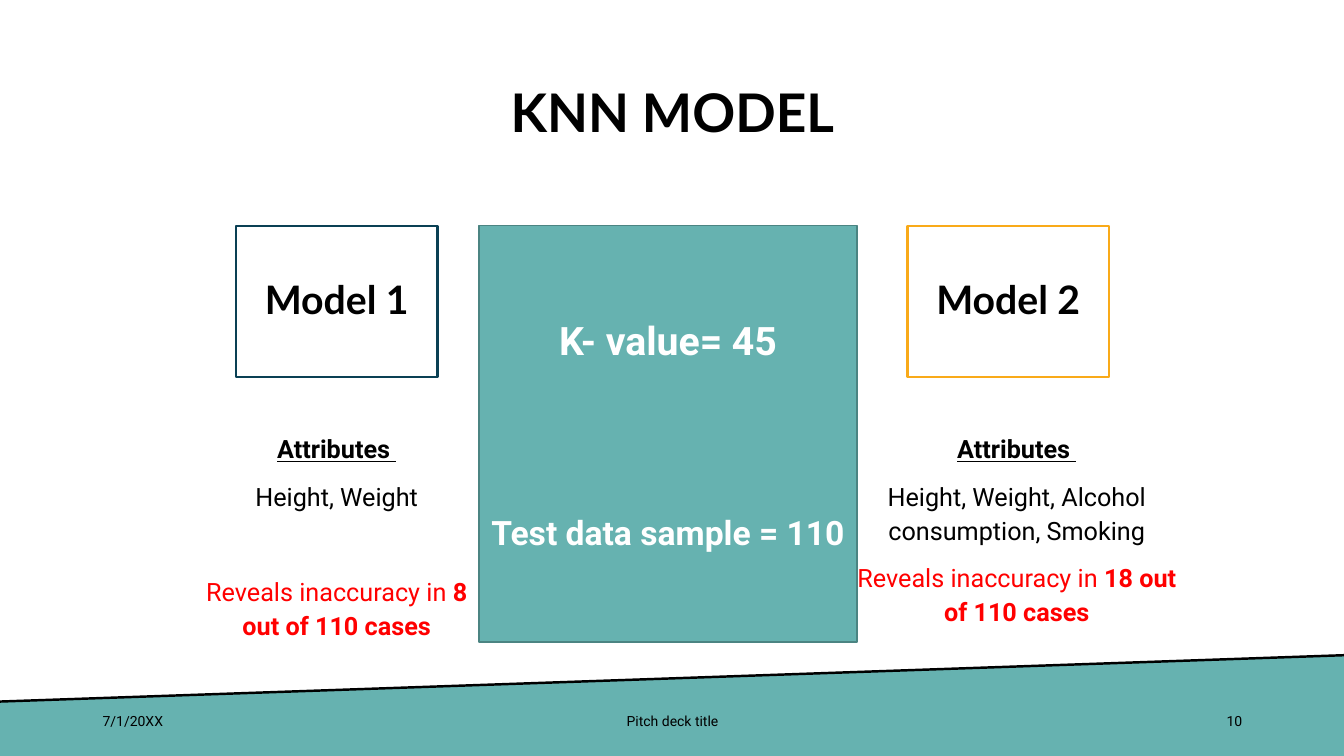
from dataclasses import dataclass

from lxml.etree import SubElement
from pptx import Presentation
from pptx.dml.color import RGBColor
from pptx.enum.shapes import MSO_CONNECTOR as Connector, MSO_SHAPE as Shape
from pptx.enum.text import MSO_ANCHOR as Anchor, PP_ALIGN as Align
from pptx.oxml.ns import qn
from pptx.util import Inches, Pt


@dataclass(frozen=True)
class Theme:
    heading: str = "Lato"
    body: str = "Roboto"
    black: str = "000000"
    white: str = "FFFFFF"
    red: str = "FF0000"
    teal: str = "66B2B0"
    teal_edge: str = "4B8482"
    navy: str = "0A4054"
    amber: str = "F9AA19"
    title_size: int = 38
    label_size: int = 28
    sample_size: int = 24
    body_size: int = 18
    footer_size: int = 10
    outline: float = 1.75


THEME = Theme()


def rgb(value):
    return RGBColor.from_string(value)


def style_run(run, size, color, font=THEME.body, bold=False, underline=False):
    run.font.name = font
    run.font.size = Pt(size)
    run.font.color.rgb = rgb(color)
    run.font.bold = bold
    run.font.underline = underline


def add_text(page, box, anchor=Anchor.TOP):
    frame = page.shapes.add_textbox(*map(Inches, box)).text_frame
    frame.word_wrap = True
    frame.vertical_anchor = anchor
    return frame


def add_line_of_text(page, box, text, size, align, font=THEME.body, bold=False):
    frame = add_text(page, box, Anchor.MIDDLE)
    frame.text = text
    para = frame.paragraphs[0]
    para.alignment = align
    style_run(para.runs[0], size, THEME.black, font, bold)


def add_panel(page, box, edge, width, fill=None):
    panel = page.shapes.add_shape(Shape.RECTANGLE, *map(Inches, box))
    panel.shadow.inherit = False
    if fill:
        panel.fill.solid()
        panel.fill.fore_color.rgb = rgb(fill)
    else:
        panel.fill.background()
    panel.line.color.rgb = rgb(edge)
    panel.line.width = Pt(width)
    frame = panel.text_frame
    frame.word_wrap = True
    frame.vertical_anchor = Anchor.MIDDLE
    return frame


def add_footer(page, box, texts):
    left, top, width, height = box
    slope = 0.46
    right, bottom = left + width, top + height

    # Slanted band with its upper edge
    corners = [(right, top), (right, bottom), (left, bottom)]
    builder = page.shapes.build_freeform(Inches(left), Inches(top + slope))
    builder.add_line_segments([(Inches(x), Inches(y)) for x, y in corners])
    band = builder.convert_to_shape()
    band.shadow.inherit = False
    band.fill.solid()
    band.fill.fore_color.rgb = rgb(THEME.teal)
    band.line.fill.background()
    edge = page.shapes.add_connector(
        Connector.STRAIGHT, Inches(right), Inches(top), Inches(left), Inches(top + slope))
    edge.line.color.rgb = rgb(THEME.black)
    edge.line.width = Pt(THEME.outline)
    SubElement(edge._element.spPr, qn("a:effectLst"))

    # Date, deck title and page number
    places = [(0.92, 3, Align.LEFT), (4.42, 4.5, Align.CENTER), (9.42, 3, Align.RIGHT)]
    for text, (offset, span, align) in zip(texts, places):
        add_line_of_text(page, (left + offset, top + 0.45, span, 0.4), text,
                         THEME.footer_size, align)


def add_model_label(page, box, text, edge):
    frame = add_panel(page, box, edge, THEME.outline)
    frame.text = text
    para = frame.paragraphs[0]
    para.alignment = Align.CENTER
    para.line_spacing = 0.9
    style_run(para.runs[0], THEME.label_size, THEME.black, THEME.heading, bold=True)


def add_model_details(page, box, attributes, cases, result_gap):
    frame = add_text(page, box)
    # Each run: text, colour, bold, underline
    lines = [
        (10, [("Attributes", THEME.black, True, True), (" ", THEME.black, False, True)]),
        (10, [(attributes, THEME.black, False, False)]),
        (result_gap, [("Reveals inaccuracy in ", THEME.red, False, False),
                      (cases, THEME.red, True, False)]),
    ]
    for index, (gap, runs) in enumerate(lines):
        para = frame.add_paragraph() if index else frame.paragraphs[0]
        para.alignment = Align.CENTER
        para.line_spacing = Pt(24)
        para.space_before = Pt(gap)
        for text, color, bold, underline in runs:
            run = para.add_run()
            run.text = text
            style_run(run, THEME.body_size, color, bold=bold, underline=underline)


def add_parameters(page, box):
    frame = add_panel(page, box, THEME.teal_edge, 1, THEME.teal)
    frame.text = "K- value= 45\nTest data sample = 110"
    sizes = (THEME.label_size, THEME.sample_size)
    for para, size in zip(frame.paragraphs, sizes):
        para.alignment = Align.CENTER
        style_run(para.runs[0], size, THEME.white, bold=True)
    frame.paragraphs[1].space_before = Pt(106)


def build_knn_slide(deck):
    page = deck.slides.add_slide(deck.slide_layouts[6])
    add_footer(page, (0, 6.5, 13.33, 1), ("7/1/20XX", "Pitch deck title", "10"))
    add_line_of_text(page, (0.92, 0.4, 11.5, 1.4), "KNN MODEL", THEME.title_size,
                     Align.CENTER, THEME.heading, bold=True)

    # Two models on either side of the shared parameters
    row_top, details_top = 2.24, 4.22
    add_model_label(page, (2.34, row_top, 2, 1.5), "Model 1", THEME.navy)
    add_model_details(page, (1.84, details_top, 3, 1.75), "Height, Weight",
                      "8 out of 110 cases", result_gap=44)
    add_model_label(page, (9, row_top, 2, 1.5), "Model 2", THEME.amber)
    add_model_details(page, (8.3, details_top, 3.57, 2.52),
                      "Height, Weight, Alcohol consumption, Smoking",
                      "18 out of 110 cases", result_gap=10)
    add_parameters(page, (4.75, row_top, 3.75, 4.13))


def main():
    deck = Presentation()
    deck.slide_width = Inches(13.33)
    deck.slide_height = Inches(7.5)
    build_knn_slide(deck)
    deck.save("out.pptx")


if __name__ == "__main__":
    main()
